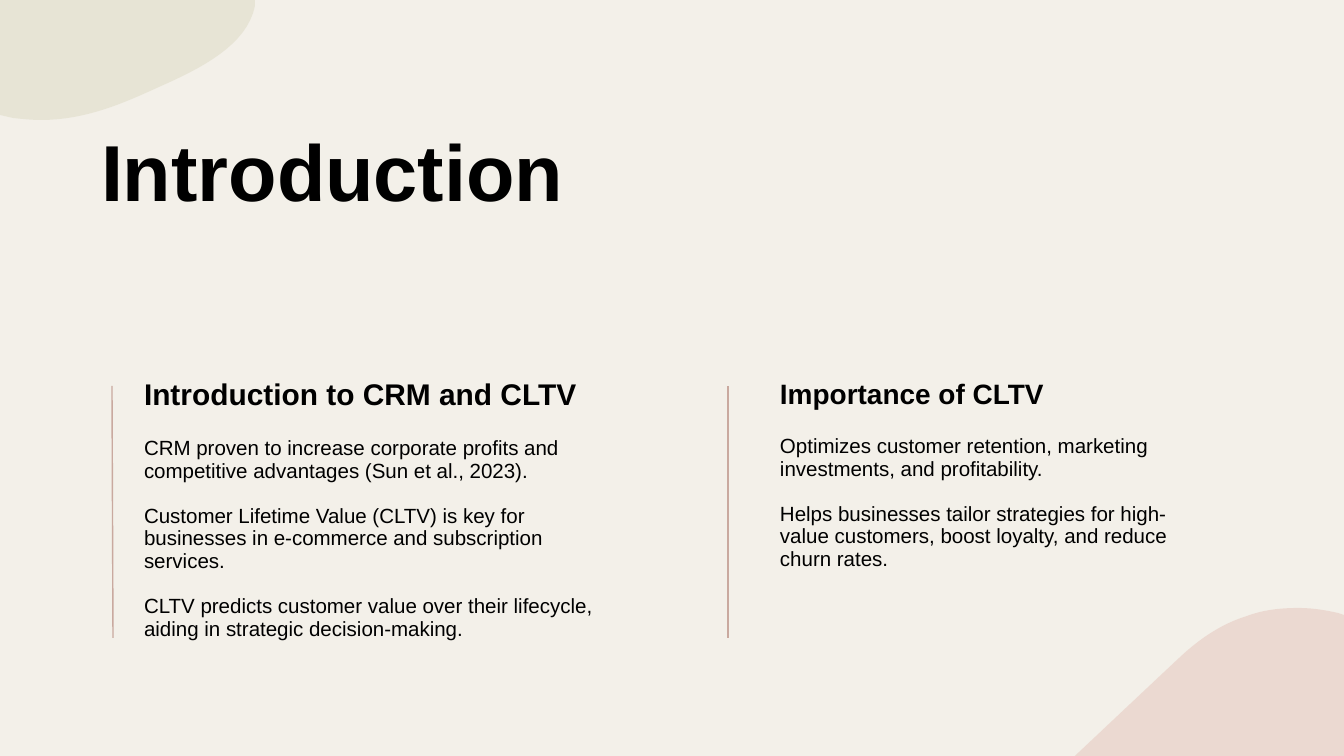
"""Build the Introduction slide on CRM and CLTV."""
from dataclasses import dataclass

from lxml import etree
from pptx import Presentation
from pptx import util as u
from pptx.dml.color import RGBColor
from pptx.enum import shapes, text
from pptx.oxml.ns import qn

SCALE = u.Inches(20) / 1344
FONT = "Arial"
INK, PAPER, RULE = "000000", "F3F0E9", "C9A99F"
CURVE_STEPS = 16


@dataclass
class Block:
    idx: int
    box: tuple[int, int, int, int]
    paragraphs: list[str]
    size: int
    leading: float
    bold: bool = False


@dataclass
class Blob:
    start: tuple[int, int]
    segments: list[tuple[int, ...]]
    color: str


@dataclass
class Rule:
    start: tuple[int, int]
    end: tuple[int, int]


BLOCKS = [
    Block(0, (101, 146, 1016, 79), ["Introduction"], 85, 76.5, True),
    Block(1, (144, 385, 454, 32), ["Introduction to CRM and CLTV"], 32, 28.8, True),
    Block(2, (144, 437, 454, 204), [
        "CRM proven to increase corporate profits and competitive advantages (Sun et al., 2023).",
        "Customer Lifetime Value (CLTV) is key for businesses in e-commerce and subscription services.",
        "CLTV predicts customer value over their lifecycle, aiding in strategic decision-making.",
    ], 22, 24.2),
    Block(3, (780, 385, 435, 30), ["Importance of CLTV"], 30, 27, True),
    Block(4, (780, 435, 435, 136), [
        "Optimizes customer retention, marketing investments, and profitability.",
        "Helps businesses tailor strategies for high-value customers, boost loyalty, and reduce churn rates.",
    ], 22, 24.2),
]

BLOBS = [
    Blob((1298, 608), [
        (1312, 608, 1325, 610, 1338, 613), (1344, 615), (1344, 756), (1075, 756),
        (1077, 754), (1111, 722, 1146, 689, 1178, 659),
        (1201, 637, 1224, 623, 1247, 616), (1263, 610, 1280, 608, 1298, 608),
    ], "E5C4BA"),
    Blob((0, 0), [
        (255, 0), (255, 6), (247, 45, 202, 68, 159, 87),
        (124, 103, 86, 120, 41, 120), (32, 120, 22, 119, 13, 118), (0, 115),
    ], "DCD9C3"),
]

RULES = [Rule((113, 638), (112, 386)), Rule((728, 638), (728, 386))]


def px(value: float) -> u.Emu:
    """Turn px into EMU."""
    return u.Emu(round(value * SCALE))


def rgb(color: str) -> RGBColor:
    """Turn a hex string into a colour."""
    return RGBColor.from_string(color)


def outline(blob: Blob) -> list[tuple[int, int]]:
    """Trace lines and cubic curves as a list of EMU points."""
    points = [blob.start]
    for seg in blob.segments:
        if len(seg) == 2:
            points.append(seg)
            continue
        ends = [points[-1], seg[:2], seg[2:4], seg[4:]]
        for step in range(1, CURVE_STEPS + 1):
            t = step / CURVE_STEPS
            weights = ((1 - t) ** 3, 3 * t * (1 - t) ** 2, 3 * t * t * (1 - t), t ** 3)
            points.append(tuple(sum(w * e[axis] for w, e in zip(weights, ends))
                                for axis in (0, 1)))
    return [(px(x), px(y)) for x, y in points]


def draw_blob(slide, blob: Blob) -> None:
    """Draw a half-transparent corner blob."""
    start, *rest = outline(blob)
    builder = slide.shapes.build_freeform(*start)
    builder.add_line_segments(rest, close=True)
    sp = builder.convert_to_shape()
    sp.shadow.inherit = False
    sp.fill.solid()
    sp.fill.fore_color.rgb = rgb(blob.color)
    sp.line.fill.background()
    clr = sp.fill._xPr.find(qn("a:solidFill")).find(qn("a:srgbClr"))
    etree.SubElement(clr, qn("a:alpha")).set("val", "50000")


def draw_rule(slide, rule: Rule) -> None:
    """Draw a thin vertical rule."""
    ends = [px(v) for v in (*rule.start, *rule.end)]
    line = slide.shapes.add_connector(shapes.MSO_CONNECTOR.STRAIGHT, *ends)
    line.line.color.rgb = rgb(RULE)
    line.line.width = u.Pt(1.5)
    etree.SubElement(line._element.spPr, qn("a:effectLst"))


def fill_block(slide, block: Block) -> None:
    """Move, fill and format one placeholder."""
    sp = slide.placeholders[block.idx]
    sp.left, sp.top, sp.width, sp.height = map(px, block.box)
    tf = sp.text_frame
    tf.text = "\n".join(block.paragraphs)
    tf.word_wrap = True
    tf.auto_size = text.MSO_AUTO_SIZE.NONE
    tf.vertical_anchor = text.MSO_ANCHOR.TOP
    tf.margin_left = tf.margin_top = tf.margin_right = tf.margin_bottom = 0
    for i, p in enumerate(tf.paragraphs):
        pPr = p._p.get_or_add_pPr()
        pPr.set("marL", "0")
        pPr.set("indent", "0")
        etree.SubElement(pPr, qn("a:buNone"))
        p.alignment = text.PP_ALIGN.LEFT
        p.line_spacing = u.Pt(block.leading)
        p.space_before = u.Pt(block.leading if i else 0)
        p.space_after = u.Pt(0)
        for r in p.runs:
            r.font.name = FONT
            r.font.size = u.Pt(block.size)
            r.font.bold = block.bold
            r.font.color.rgb = rgb(INK)


def main() -> None:
    """Build and save the slide."""
    prs = Presentation()
    prs.slide_width, prs.slide_height = px(1344), px(756)
    slide = prs.slides.add_slide(prs.slide_layouts.get_by_name("Comparison"))
    slide.background.fill.solid()
    slide.background.fill.fore_color.rgb = rgb(PAPER)
    for blob in BLOBS:
        draw_blob(slide, blob)
    for block in BLOCKS:
        fill_block(slide, block)
    for rule in RULES:
        draw_rule(slide, rule)
    prs.save("out.pptx")


if __name__ == "__main__":
    main()
